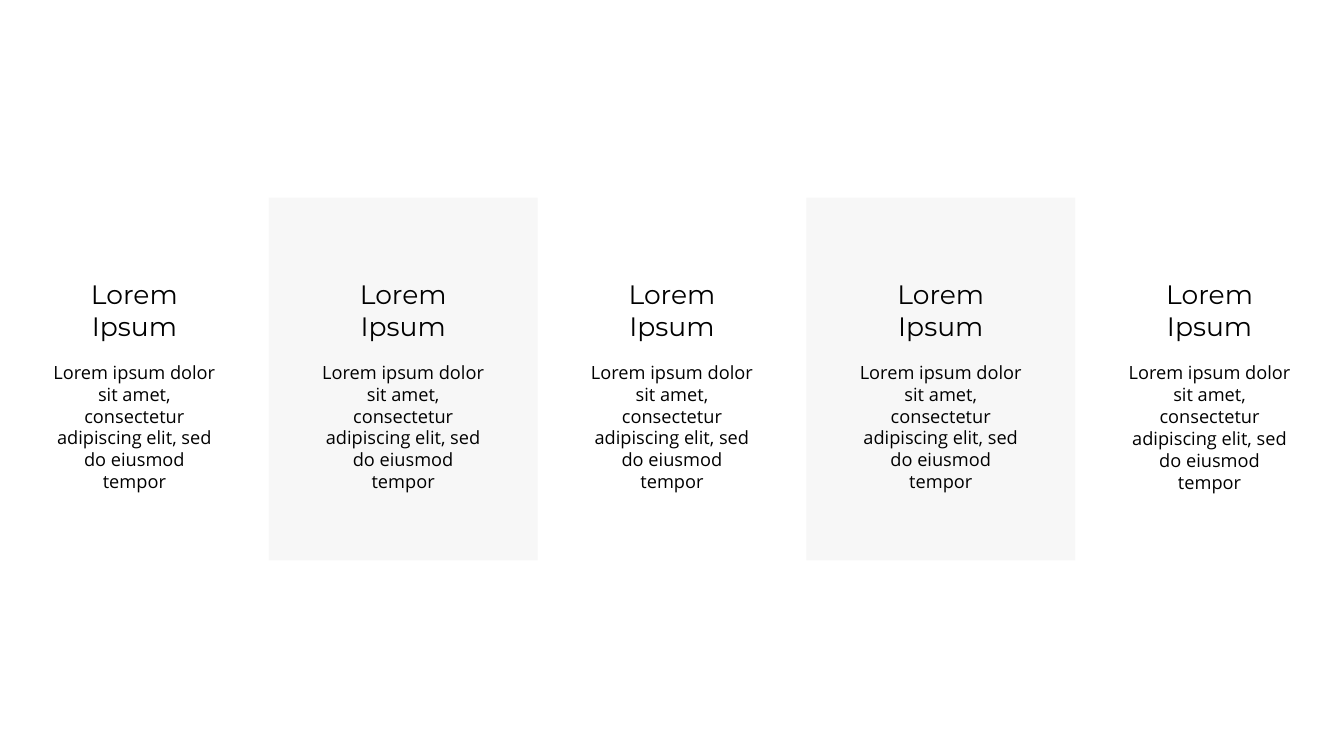
from dataclasses import dataclass

from pptx import Presentation
from pptx.dml.color import RGBColor
from pptx.enum.shapes import MSO_SHAPE
from pptx.enum.text import MSO_AUTO_SIZE, PP_ALIGN
from pptx.slide import Slide
from pptx.util import Pt

RECTANGLE = MSO_SHAPE.RECTANGLE
GROW = MSO_AUTO_SIZE.SHAPE_TO_FIT_TEXT
CENTER = PP_ALIGN.CENTER

SLIDE_WIDTH, SLIDE_HEIGHT = 1920, 1080
BLANK_LAYOUT = 6
PANEL_TOP, PANEL_HEIGHT = 282.2, 518.4
PANEL_FILL = "F7F7F7"
TEXT_COLOR = "000000"


@dataclass(frozen=True)
class TextStyle:
    top: float
    width: float
    height: float
    font: str
    size: float
    wrap: bool
    inset_x: float
    inset_y: float


@dataclass(frozen=True)
class Column:
    heading: str
    body: str
    shaded: bool = False
    drop: float = 0


HEADING = TextStyle(396.7, 255.6, 46.1, "Montserrat", 38, False, 0, 0)
BODY = TextStyle(512.6, 254.2, 196.6, "Open Sans", 26, True, 7.2, 3.6)

TITLE = "Lorem Ipsum"
DESCRIPTION = (
    "Lorem ipsum dolor sit amet, consectetur adipiscing elit, "
    "sed do eiusmod tempor"
)
COLUMNS = [
    Column(TITLE, DESCRIPTION),
    Column(TITLE, DESCRIPTION, shaded=True),
    Column(TITLE, DESCRIPTION),
    Column(TITLE, DESCRIPTION, shaded=True),
    Column(TITLE, DESCRIPTION, drop=0.7),
]
COLUMN_WIDTH = SLIDE_WIDTH / len(COLUMNS)


def color(value: str) -> RGBColor:
    return RGBColor.from_string(value)


def add_panel(page: Slide, left: float) -> None:
    panel = page.shapes.add_shape(
        RECTANGLE, Pt(left), Pt(PANEL_TOP), Pt(COLUMN_WIDTH), Pt(PANEL_HEIGHT)
    )
    panel.shadow.inherit = False
    panel.fill.solid()
    panel.fill.fore_color.rgb = color(PANEL_FILL)
    panel.line.fill.background()


def add_text(
    page: Slide, text: str, style: TextStyle, column_left: float, drop: float
) -> None:
    """Add a text box centred across its column."""
    left = column_left + (COLUMN_WIDTH - style.width) / 2
    box = page.shapes.add_textbox(
        Pt(left), Pt(style.top + drop), Pt(style.width), Pt(style.height)
    )
    frame = box.text_frame
    frame.word_wrap = style.wrap
    frame.auto_size = GROW
    frame.margin_left = frame.margin_right = Pt(style.inset_x)
    frame.margin_top = frame.margin_bottom = Pt(style.inset_y)
    para = frame.paragraphs[0]
    para.text = text
    para.alignment = CENTER
    para.font.name = style.font
    para.font.size = Pt(style.size)
    para.font.color.rgb = color(TEXT_COLOR)


def main() -> None:
    deck = Presentation()
    deck.slide_width, deck.slide_height = Pt(SLIDE_WIDTH), Pt(SLIDE_HEIGHT)
    page = deck.slides.add_slide(deck.slide_layouts[BLANK_LAYOUT])

    for index, column in enumerate(COLUMNS):
        left = index * COLUMN_WIDTH
        if column.shaded:
            add_panel(page, left)
        add_text(page, column.heading, HEADING, left, column.drop)
        add_text(page, column.body, BODY, left, column.drop)

    deck.save("out.pptx")


if __name__ == "__main__":
    main()
